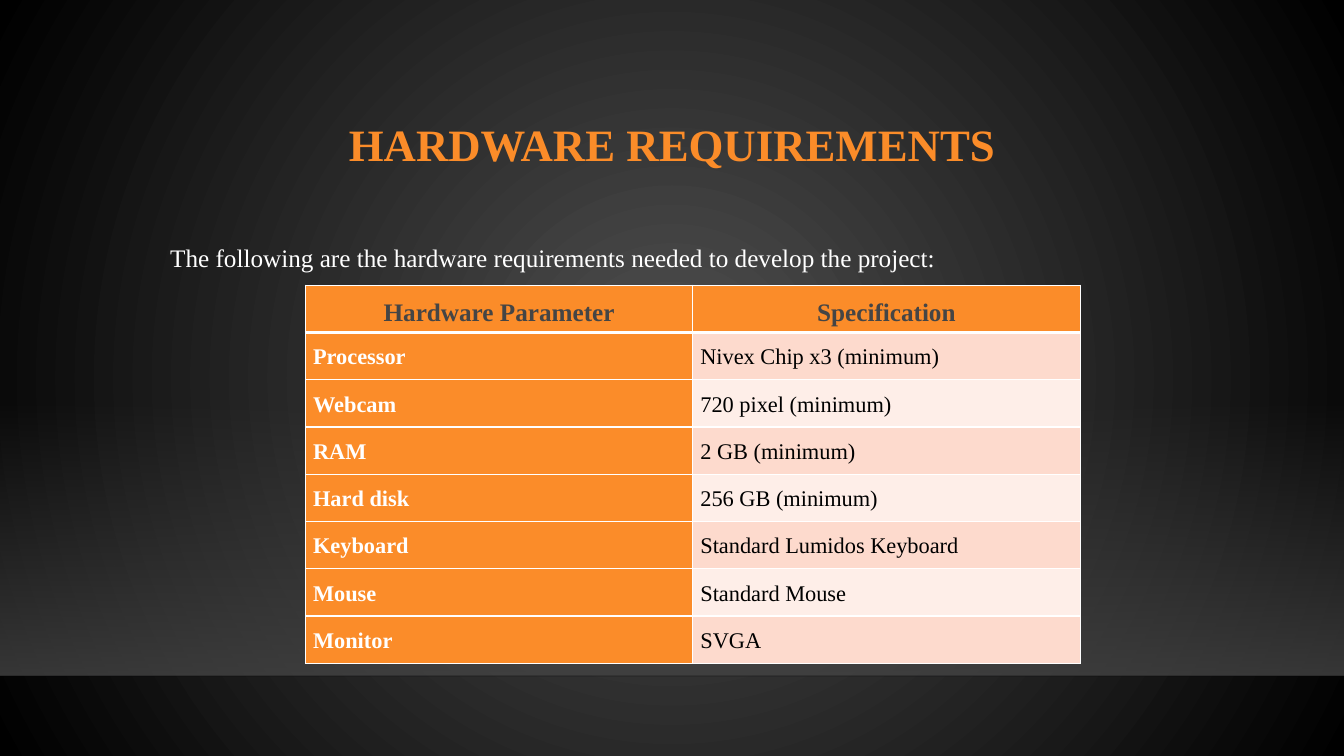
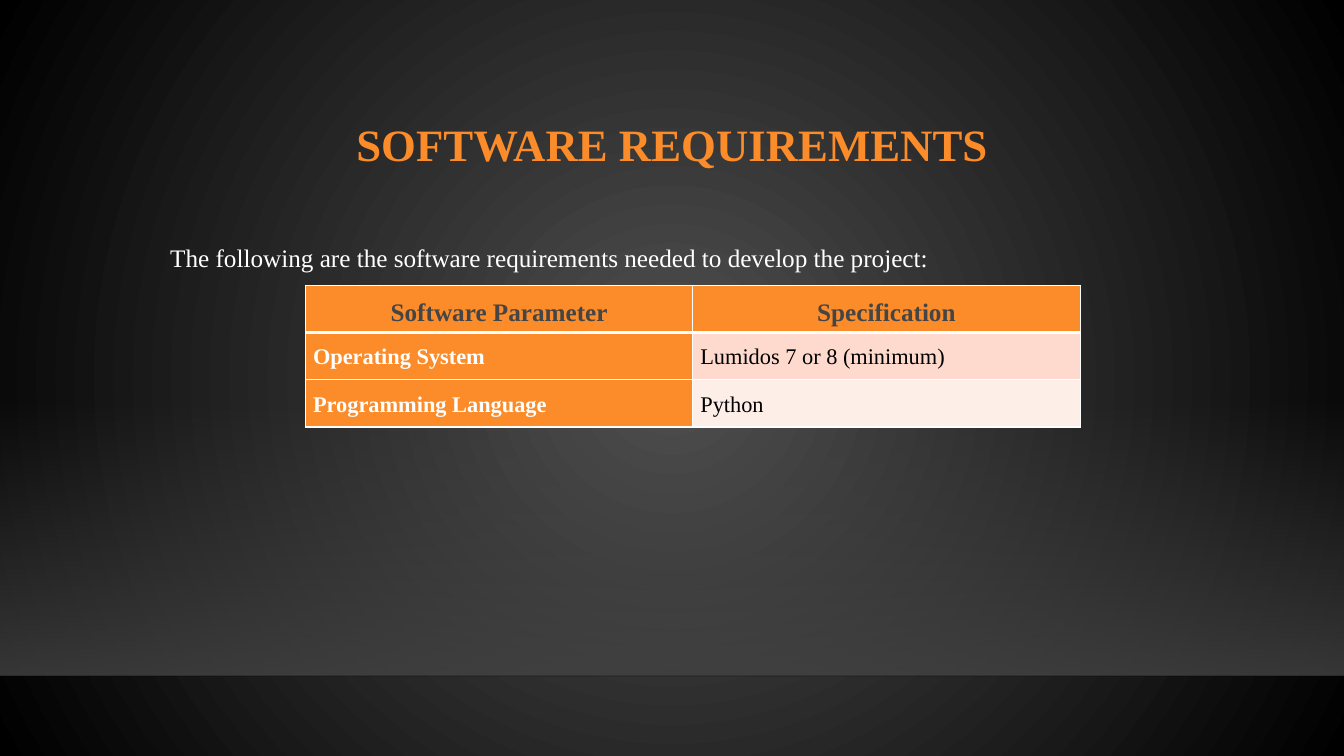
from pptx import Presentation
from pptx.dml.color import RGBColor
from pptx.enum.shapes import MSO_CONNECTOR, MSO_SHAPE
from pptx.enum.text import MSO_ANCHOR, PP_ALIGN
from pptx.oxml import parse_xml
from pptx.oxml.ns import nsdecls, qn
from pptx.util import Cm, Pt

SLIDE_W, SLIDE_H = 33.87, 19.05
FLOOR_TOP, FLOOR_H = 10.06, 6.97
TEXT_LEFT, TEXT_W = 4.04, 25.8
TABLE_LEFT, TABLE_TOP = 7.7, 7.19
COL_W, ROW_H = 9.76, 1.19


class Deck:
    FONT = "Times New Roman"
    COLORS = {
        "accent": "FB8C29",
        "dark": "454545",
        "white": "FFFFFF",
        "black": "000000",
        "glow": "505050",
        "edge": "000001",
        "band_odd": "FDDACD",
        "band_even": "FEEEE8",
    }

    def __init__(self):
        self.prs = Presentation()
        self.prs.slide_width, self.prs.slide_height = Cm(SLIDE_W), Cm(SLIDE_H)
        self.s = None
        master = self.prs.slide_master
        master.background.fill.solid()
        bg = master.element.find(".//" + qn("p:bgPr"))
        focus = ('<a:path path="circle"><a:fillToRect l="50000" t="50000" '
                 'r="50000" b="50000"/></a:path>')
        bg.replace(bg[0], self.gradient([("glow", 100), ("black", 100)], focus))

    def rgb(self, name):
        return RGBColor.from_string(self.COLORS[name])

    def gradient(self, stops, direction):
        last = len(stops) - 1
        gs = "".join(
            f'<a:gs pos="{100000 * i // last}"><a:srgbClr val="{self.COLORS[color]}">'
            f'<a:alpha val="{opacity * 1000}"/></a:srgbClr></a:gs>'
            for i, (color, opacity) in enumerate(stops))
        return parse_xml(f'<a:gradFill {nsdecls("a")} rotWithShape="1">'
                         f'<a:gsLst>{gs}</a:gsLst>{direction}</a:gradFill>')

    def slide(self):
        self.s = self.prs.slides.add_slide(self.prs.slide_layouts[6])
        self.floor()

    def floor(self):
        sp = self.s.shapes.add_shape(MSO_SHAPE.RECTANGLE, 0, Cm(FLOOR_TOP),
                                     Cm(SLIDE_W), Cm(FLOOR_H))
        sp.shadow.inherit = False
        sp.line.fill.background()
        sp.fill.solid()
        props = sp.element.spPr
        props.replace(props.find(qn("a:solidFill")),
                      self.gradient([("dark", 0), ("dark", 80)],
                                    '<a:lin ang="5400000" scaled="0"/>'))

        y = Cm(FLOOR_TOP + FLOOR_H)
        line = self.s.shapes.add_connector(MSO_CONNECTOR.STRAIGHT, 0, y, Cm(SLIDE_W), y)
        line.line.width = Pt(1)
        line.line.color.rgb = self.rgb("edge")
        props = line.element.spPr
        props.find(".//" + qn("a:srgbClr")).append(
            parse_xml(f'<a:alpha {nsdecls("a")} val="20000"/>'))
        props.append(parse_xml(f'<a:effectLst {nsdecls("a")}/>'))

    def set_text(self, tf, text, size, color, bold, align, spacing):
        tf.text = text
        p = tf.paragraphs[0]
        p.alignment, p.line_spacing = align, spacing
        font = p.runs[0].font
        font.name, font.size, font.bold = self.FONT, Pt(size), bold
        font.color.rgb = self.rgb(color)

    def text_box(self, top, height, anchor, *style):
        sp = self.s.shapes.add_textbox(Cm(TEXT_LEFT), Cm(top), Cm(TEXT_W), Cm(height))
        tf = sp.text_frame
        tf.word_wrap, tf.vertical_anchor = True, anchor
        self.set_text(tf, *style)

    def title(self, text):
        self.text_box(2.24, 2.92, MSO_ANCHOR.MIDDLE,
                      text, 32, "accent", True, PP_ALIGN.CENTER, 0.9)

    def intro(self, text):
        self.text_box(5.59, 1.5, MSO_ANCHOR.TOP,
                      text, 18, "white", False, PP_ALIGN.JUSTIFY, 1.5)

    def borders(self, cell, top, bottom):
        props = cell._tc.get_or_add_tcPr()
        widths = {"lnL": 1, "lnR": 1, "lnT": top, "lnB": bottom}
        for i, (side, width) in enumerate(widths.items()):
            props.insert(i, parse_xml(
                f'<a:{side} {nsdecls("a")} w="{Pt(width)}"><a:solidFill>'
                f'<a:srgbClr val="{self.COLORS["white"]}"/></a:solidFill></a:{side}>'))

    def cell_style(self, row, col):
        if row == 0:
            return "accent", (18, "dark", True, PP_ALIGN.CENTER)
        if col == 0:
            return "accent", (16, "white", True, PP_ALIGN.JUSTIFY)
        band = "band_odd" if row % 2 else "band_even"
        return band, (16, "black", False, PP_ALIGN.JUSTIFY)

    def table(self, rows):
        cols = len(rows[0])
        table = self.s.shapes.add_table(
            len(rows), cols, Cm(TABLE_LEFT), Cm(TABLE_TOP),
            Cm(COL_W * cols), Cm(ROW_H * len(rows))).table
        for column in table.columns:
            column.width = Cm(COL_W)
        for r, values in enumerate(rows):
            table.rows[r].height = Cm(ROW_H)
            for c, text in enumerate(values):
                cell = table.cell(r, c)
                fill, style = self.cell_style(r, c)
                cell.margin_left = cell.margin_right = Cm(0.19)
                cell.margin_top = cell.margin_bottom = 0
                cell.fill.solid()
                cell.fill.fore_color.rgb = self.rgb(fill)
                self.borders(cell, 3 if r == 1 else 1, 3 if r == 0 else 1)
                self.set_text(cell.text_frame, text, *style, 1.5)


REQUIREMENTS = {
    "Hardware": [
        ("Processor", "Nivex Chip x3 (minimum)"),
        ("Webcam", "720 pixel (minimum)"),
        ("RAM", "2 GB (minimum)"),
        ("Hard disk", "256 GB (minimum)"),
        ("Keyboard", "Standard Lumidos Keyboard"),
        ("Mouse", "Standard Mouse"),
        ("Monitor", "SVGA"),
    ],
    "Software": [
        ("Operating System", "Lumidos 7 or 8 (minimum)"),
        ("Programming Language", "Python"),
    ],
}


def main():
    deck = Deck()
    for kind, rows in REQUIREMENTS.items():
        deck.slide()
        deck.title(f"{kind.upper()} REQUIREMENTS")
        deck.intro(f"The following are the {kind.lower()} requirements "
                   "needed to develop the project:")
        deck.table([(f"{kind} Parameter", "Specification"), *rows])
    deck.prs.save("out.pptx")


if __name__ == "__main__":
    main()
